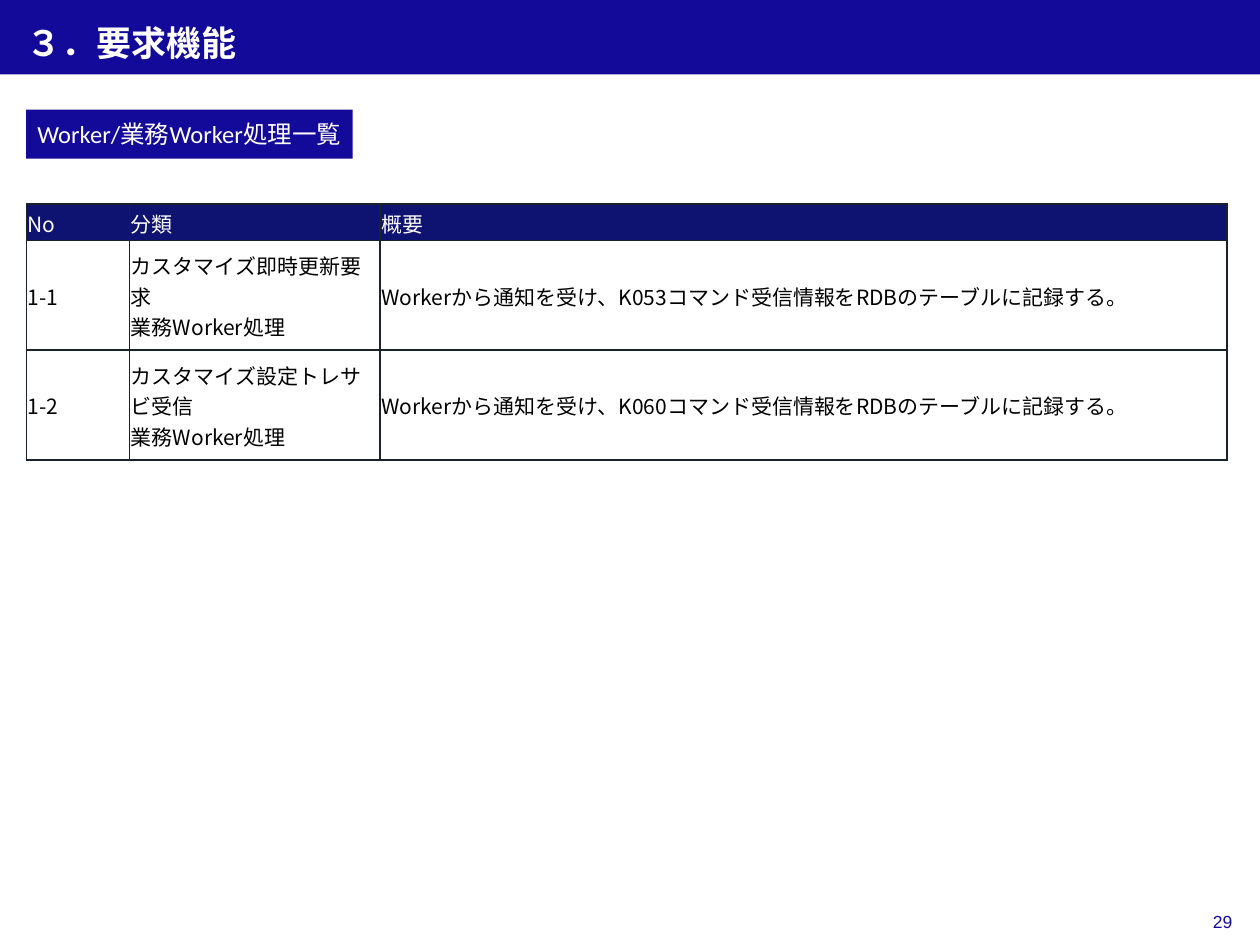
from lxml.etree import SubElement
from pptx import Presentation
from pptx.dml.color import RGBColor
from pptx.enum.shapes import MSO_SHAPE
from pptx.enum.text import MSO_ANCHOR, MSO_AUTO_SIZE, PP_ALIGN
from pptx.oxml.ns import qn
from pptx.util import Cm, Pt

NAVY, HEADER, BORDER = "140A9A", "0E1271", "1B232A"
WHITE, BLACK = "FFFFFF", "000000"
LEFT = 0.53

COLUMN_WIDTHS = [2.08, 5.05, 17.07]
ROW_HEIGHTS = [0.74, 2.21, 2.21]
ROWS = [
    ["No", "分類", "概要"],
    ["1-1", "カスタマイズ即時更新要求\n業務Worker処理",
     "Workerから通知を受け、K053コマンド受信情報をRDBのテーブルに記録する。"],
    ["1-2", "カスタマイズ設定トレサビ受信\n業務Worker処理",
     "Workerから通知を受け、K060コマンド受信情報をRDBのテーブルに記録する。"],
]


def rgb(value):
    return RGBColor.from_string(value)


def box(left, top, width, height):
    return [Cm(v) for v in (left, top, width, height)]


def format_text(tf, size, font, color, align=PP_ALIGN.LEFT, bold=False):
    for p in tf.paragraphs:
        p.alignment = align
        p.font.size = Pt(size)
        p.font.name = font
        p.font.bold = bold
        p.font.color.rgb = rgb(color)


def set_margins(item, left, top, right, bottom):
    item.margin_left, item.margin_top = Cm(left), Cm(top)
    item.margin_right, item.margin_bottom = Cm(right), Cm(bottom)


def add_block(s, place):
    sp = s.shapes.add_shape(MSO_SHAPE.RECTANGLE, *box(*place))
    sp.shadow.inherit = False
    sp.fill.solid()
    sp.fill.fore_color.rgb = rgb(NAVY)
    sp.line.fill.background()
    return sp


def add_title(s, text):
    add_block(s, (0, 0, 25.4, 1.5))
    title = s.shapes.title
    title.left, title.top, title.width, title.height = box(LEFT, 0.36, 24.3, 1.09)
    # Bring the title in front of its band
    title.element.getparent().append(title.element)
    tf = title.text_frame
    tf.text = text
    tf.auto_size = MSO_AUTO_SIZE.NONE
    tf.vertical_anchor = MSO_ANCHOR.MIDDLE
    set_margins(tf, 0, 0.13, 0.25, 0.13)
    format_text(tf, 20, "Arial", WHITE, bold=True)
    tf.paragraphs[0].line_spacing = 0.9


def add_heading(s, text):
    tf = add_block(s, (LEFT, 2.21, 6.58, 0.99)).text_frame
    tf.text = text
    tf.word_wrap = False
    tf.vertical_anchor = MSO_ANCHOR.MIDDLE
    format_text(tf, 14, "Calibri", WHITE, PP_ALIGN.CENTER)


def add_page_number(s, text):
    tf = s.shapes.add_textbox(*box(23.32, 18.24, 1.52, 0.69)).text_frame
    tf.text = text
    tf.word_wrap = True
    set_margins(tf, 0, 0.13, 0, 0.13)
    format_text(tf, 10, "Arial", NAVY, PP_ALIGN.RIGHT)


def set_borders(cell):
    tc_pr = cell._tc.get_or_add_tcPr()
    for side in ("lnL", "lnR", "lnT", "lnB"):
        ln = SubElement(tc_pr, qn(f"a:{side}"), w=str(Pt(1)))
        fill = SubElement(ln, qn("a:solidFill"))
        SubElement(fill, qn("a:srgbClr"), val=BORDER)


def format_cell(cell, text, is_header):
    cell.text = text
    cell.vertical_anchor = MSO_ANCHOR.MIDDLE
    set_margins(cell, 0.03, 0.03, 0.03, 0)
    set_borders(cell)
    if is_header:
        cell.fill.solid()
        cell.fill.fore_color.rgb = rgb(HEADER)
    else:
        cell.fill.background()
    format_text(cell.text_frame, 12, "Noto Sans CJK JP", WHITE if is_header else BLACK)


def add_process_table(s):
    place = box(LEFT, 4.11, sum(COLUMN_WIDTHS), sum(ROW_HEIGHTS))
    table = s.shapes.add_table(len(ROWS), len(COLUMN_WIDTHS), *place).table
    table.first_row = table.horz_banding = False
    for column, width in zip(table.columns, COLUMN_WIDTHS):
        column.width = Cm(width)
    for i, (row, height) in enumerate(zip(table.rows, ROW_HEIGHTS)):
        row.height = Cm(height)
        for cell, text in zip(row.cells, ROWS[i]):
            format_cell(cell, text, i == 0)


def main():
    prs = Presentation()
    prs.slide_width, prs.slide_height = Cm(25.4), Cm(19.05)
    s = prs.slides.add_slide(prs.slide_layouts[5])
    add_title(s, "３．要求機能")
    add_page_number(s, "29")
    add_process_table(s)
    add_heading(s, "Worker/業務Worker処理一覧")
    prs.save("out.pptx")


if __name__ == "__main__":
    main()
